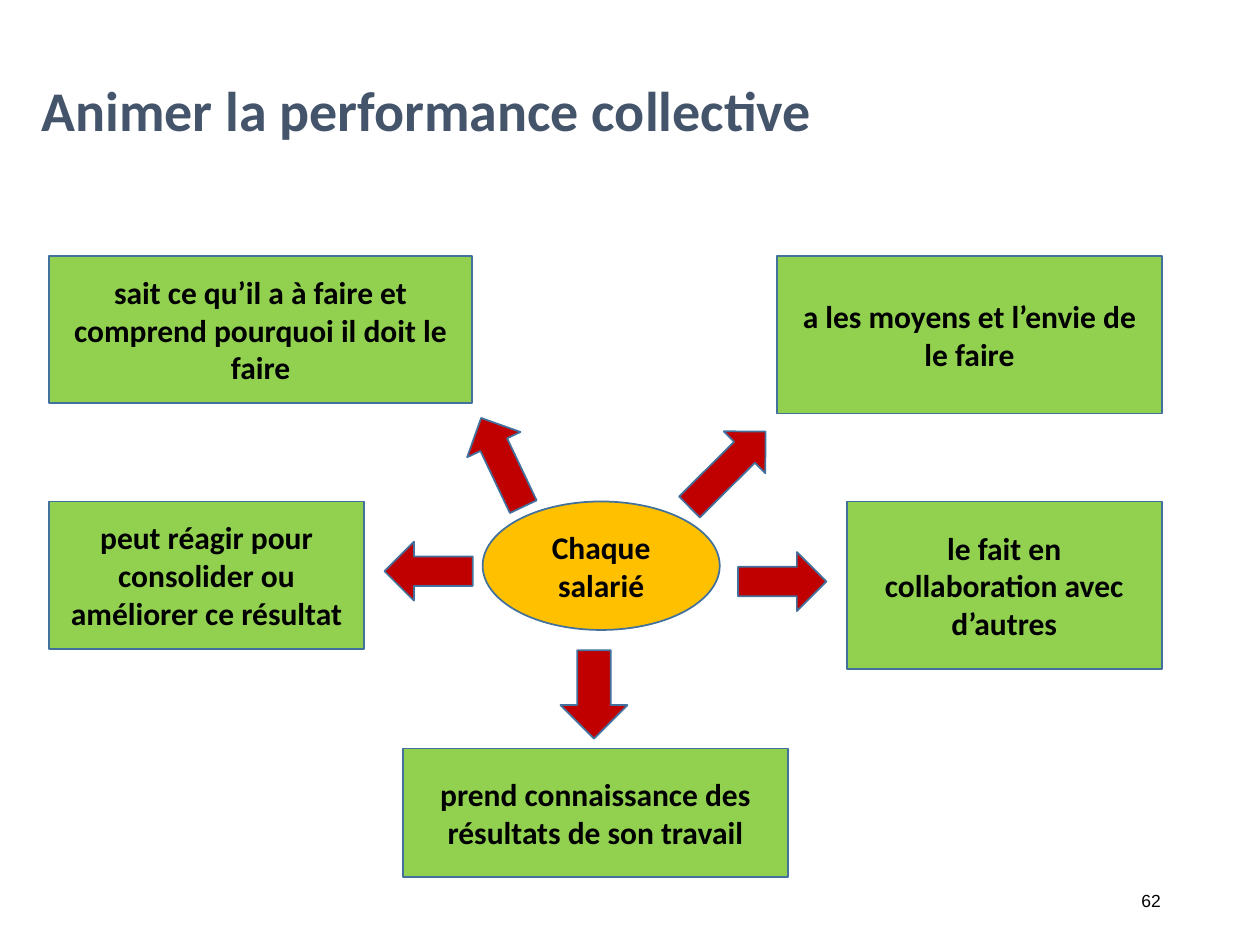
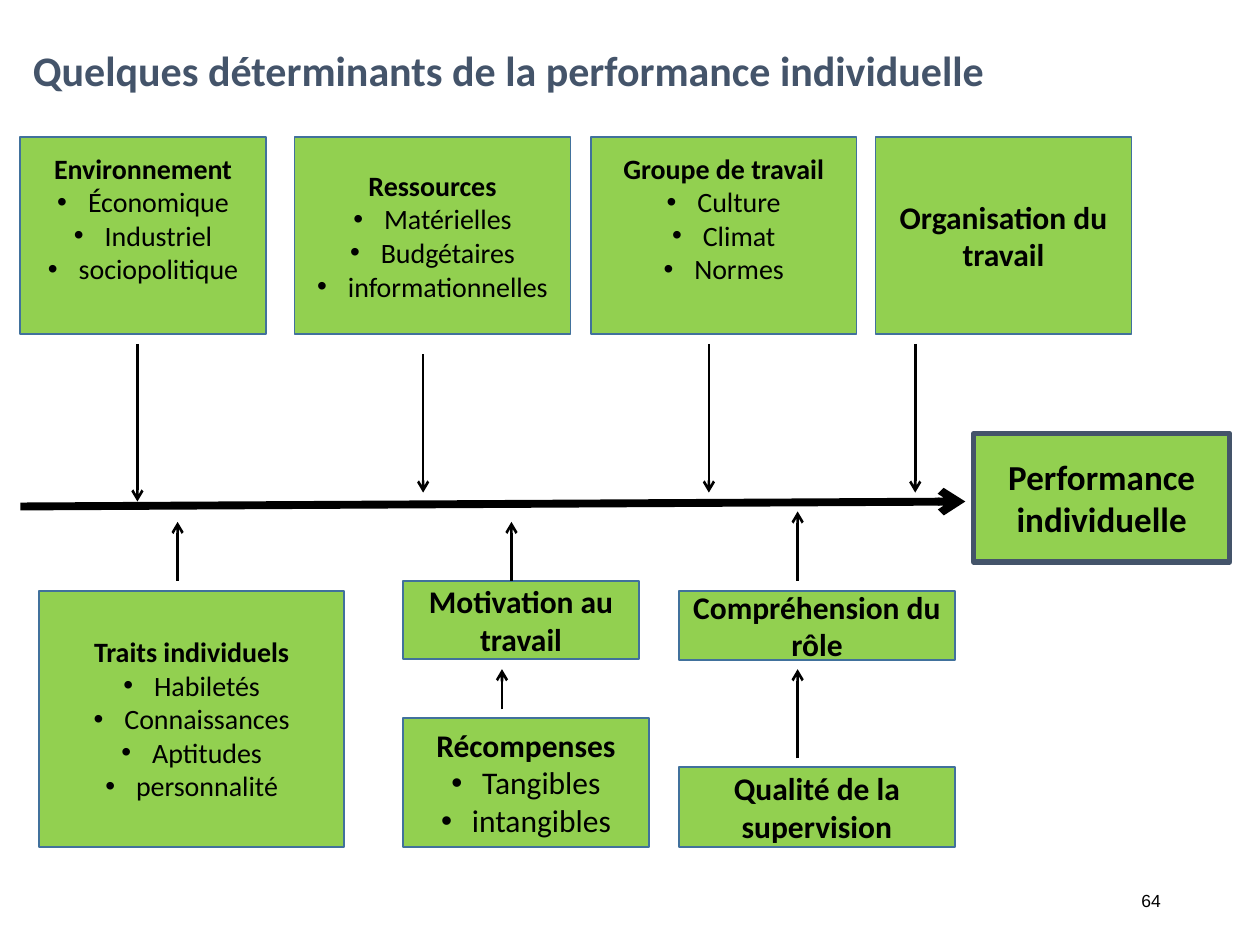
from dataclasses import dataclass
from typing import NamedTuple

from lxml.etree import SubElement
from pptx import Presentation
from pptx.dml.color import RGBColor as Rgb
from pptx.enum.shapes import MSO_CONNECTOR as Link, MSO_SHAPE as Kind
from pptx.enum.text import MSO_ANCHOR as Anchor, MSO_AUTO_SIZE as Fit, PP_ALIGN as Align
from pptx.oxml.ns import qn
from pptx.util import Cm, Pt


# Shared look
@dataclass(frozen=True)
class Theme:
    font: str = "Calibri"
    digits: str = "Arial"
    ink: str = "000000"
    slate: str = "44546A"
    edge: str = "41719C"
    green: str = "92D050"
    gold: str = "FFC000"
    red: str = "C00000"
    head: int = 32
    subhead: int = 24
    goal: int = 20
    body: int = 18
    small: int = 16
    page: int = 10
    thin: float = 1
    arrow: float = 1.5
    thick: float = 3
    axis: float = 4.5
    hang: float = 0.62


LOOK = Theme()


# Element descriptions, lengths in centimetres
class Area(NamedTuple):
    x: float
    y: float
    w: float
    h: float


@dataclass(frozen=True)
class Box:
    area: Area
    text: str
    items: tuple[str, ...] = ()
    size: int = LOOK.body
    fill: str = LOOK.green
    edge: str = LOOK.edge
    line: float = LOOK.thin
    kind: Kind = Kind.RECTANGLE
    foot: float = 0.13


class Arrow(NamedTuple):
    kind: Kind
    area: Area
    turn: float = 0


class Stem(NamedTuple):
    x: float
    start: float
    end: float


# Drawing functions
def place(area: Area) -> list[Cm]:
    return [Cm(side) for side in area]


def style(para, size: int, color: str = LOOK.ink, bold: bool = False,
          font: str = LOOK.font) -> None:
    for run in para.runs:
        run.font.name = font
        run.font.size = Pt(size)
        run.font.bold = bold
        run.font.color.rgb = Rgb.from_string(color)


def bullet(para) -> None:
    props = para._p.get_or_add_pPr()
    props.set("marL", str(Cm(LOOK.hang)))
    props.set("indent", str(-Cm(LOOK.hang)))
    SubElement(props, qn("a:buFont"), typeface="Arial")
    SubElement(props, qn("a:buChar"), char="•")


def draw_shape(slide, kind: Kind, area: Area, fill: str,
               edge: str = LOOK.edge, line: float = LOOK.thin):
    shape = slide.shapes.add_shape(kind, *place(area))
    shape.shadow.inherit = False
    shape.fill.solid()
    shape.fill.fore_color.rgb = Rgb.from_string(fill)
    shape.line.color.rgb = Rgb.from_string(edge)
    shape.line.width = Pt(line)
    return shape


def draw_box(slide, box: Box) -> None:
    shape = draw_shape(slide, box.kind, box.area, box.fill, box.edge, box.line)
    frame = shape.text_frame
    frame.word_wrap = True
    frame.vertical_anchor = Anchor.MIDDLE
    frame.margin_bottom = Cm(box.foot)
    frame.text = "\n".join((box.text, *box.items))
    for rank, para in enumerate(frame.paragraphs):
        para.alignment = Align.CENTER
        if rank:
            bullet(para)
        style(para, box.size, bold=rank == 0)


def draw_arrow(slide, arrow: Arrow) -> None:
    shape = draw_shape(slide, arrow.kind, arrow.area, LOOK.red)
    shape.rotation = arrow.turn


def draw_line(slide, x1: float, y1: float, x2: float, y2: float, width: float) -> None:
    line = slide.shapes.add_connector(Link.STRAIGHT, Cm(x1), Cm(y1), Cm(x2), Cm(y2))
    line.line.color.rgb = Rgb.from_string(LOOK.ink)
    line.line.width = Pt(width)
    SubElement(line.line._get_or_add_ln(), qn("a:tailEnd"), type="arrow")
    SubElement(line._element.spPr, qn("a:effectLst"))


def add_slide(deck, title: str, area: Area, size: int, page: int):
    slide = deck.slides.add_slide(deck.slide_layouts[5])
    head = slide.shapes.title
    head.left, head.top, head.width, head.height = place(area)
    frame = head.text_frame
    frame.text = title
    frame.word_wrap = True
    frame.auto_size = Fit.NONE
    frame.vertical_anchor = Anchor.TOP
    frame.paragraphs[0].alignment = Align.LEFT
    style(frame.paragraphs[0], size, LOOK.slate, True)

    # Page number
    note = slide.shapes.add_textbox(*place(Area(17.93, 17.65, 5.72, 1.02))).text_frame
    note.word_wrap = True
    note.vertical_anchor = Anchor.MIDDLE
    note.text = str(page)
    note.paragraphs[0].alignment = Align.RIGHT
    style(note.paragraphs[0], LOOK.page, font=LOOK.digits)
    return slide


# Slide content
TEAM = (
    Box(Area(9.73, 10.11, 4.78, 2.59), "Chaque salarié", fill=LOOK.gold, kind=Kind.OVAL),
    Box(Area(0.99, 10.11, 6.35, 2.97),
        "peut réagir pour consolider ou améliorer ce résultat"),
    Box(Area(8.13, 15.09, 7.75, 2.59), "prend connaissance des résultats de son travail"),
    Box(Area(17.07, 10.11, 6.35, 3.38), "le fait en collaboration avec d’autres"),
    Box(Area(0.99, 5.16, 8.53, 2.97),
        "sait ce qu’il a à faire et comprend pourquoi il doit le faire"),
    Box(Area(15.67, 5.16, 7.75, 3.18), "a les moyens et l’envie de le faire"),
)
RAYS = (
    Arrow(Kind.UP_ARROW, Area(9.53, 8.33, 1.19, 1.98), 334.6),
    Arrow(Kind.LEFT_ARROW, Area(7.75, 10.92, 1.78, 1.19)),
    Arrow(Kind.DOWN_ARROW, Area(11.3, 13.11, 1.35, 1.78)),
    Arrow(Kind.RIGHT_ARROW, Area(14.88, 11.13, 1.78, 1.19)),
    Arrow(Kind.UP_ARROW, Area(14.07, 8.38, 1.19, 2.16), 45.2),
)


def top(x: float, w: float) -> Area:
    return Area(x, 2.77, w, 3.96)


def low(x: float, y: float, w: float) -> Area:
    return Area(x, y, w, 17.07 - y)


CAUSES = (
    Box(top(0.41, 4.95), "Environnement", ("Économique", "Industriel", "sociopolitique"),
        LOOK.small, foot=0.82),
    Box(top(5.94, 5.56), "Ressources", ("Matérielles", "Budgétaires", "informationnelles"),
        LOOK.small),
    Box(top(11.91, 5.36), "Groupe de travail", ("Culture", "Climat", "Normes"),
        LOOK.small, foot=0.82),
    Box(top(17.65, 5.16), "Organisation du travail"),
    Box(Area(19.63, 8.74, 5.16, 2.59), "Performance individuelle", size=LOOK.goal,
        edge=LOOK.slate, line=LOOK.thick),
    Box(low(0.79, 11.91, 6.15), "Traits individuels",
        ("Habiletés", "Connaissances", "Aptitudes", "personnalité"), LOOK.small),
    Box(Area(8.13, 11.71, 4.75, 1.57), "Motivation au travail"),
    Box(low(8.13, 14.48, 4.95), "Récompenses", ("Tangibles", "intangibles")),
    Box(Area(13.69, 11.91, 5.56, 1.4), "Compréhension du rôle"),
    Box(low(13.69, 15.47, 5.56), "Qualité de la supervision"),
)
STEMS = (
    Stem(2.77, 6.93, 10.11), Stem(8.53, 7.14, 9.93),
    Stem(14.29, 6.93, 9.93), Stem(18.45, 6.93, 9.93),
    Stem(3.58, 11.71, 10.52), Stem(10.31, 11.71, 10.52), Stem(16.08, 11.71, 10.31),
    Stem(10.12, 14.3, 13.49), Stem(16.08, 15.29, 13.49),
)


def main() -> None:
    deck = Presentation()
    deck.slide_width, deck.slide_height = Cm(25.4), Cm(19.05)

    # Collective performance
    slide = add_slide(deck, "Animer la performance collective",
                      Area(0.58, 1.4, 24, 1.63), LOOK.head, 62)
    for box in TEAM:
        draw_box(slide, box)
    for ray in RAYS:
        draw_arrow(slide, ray)

    # Individual performance
    slide = add_slide(deck, "Quelques déterminants de la performance individuelle",
                      Area(0.41, 0.76, 24, 1.83), LOOK.subhead, 64)
    for box in CAUSES:
        draw_box(slide, box)
    draw_line(slide, 0.41, 10.21, 19.46, 10.11, LOOK.axis)
    for stem in STEMS:
        draw_line(slide, stem.x, stem.start, stem.x, stem.end, LOOK.arrow)

    deck.save("out.pptx")


if __name__ == "__main__":
    main()
